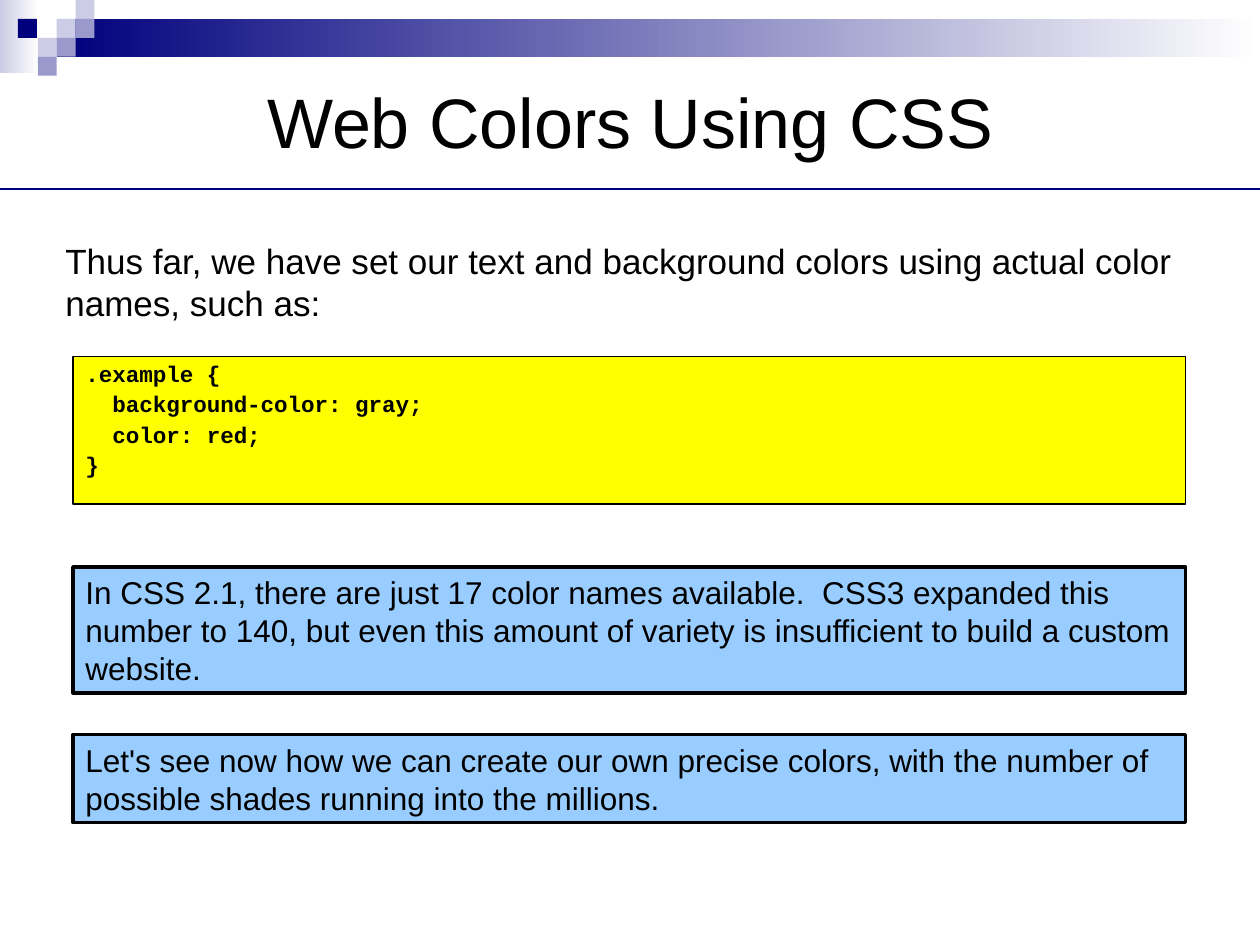
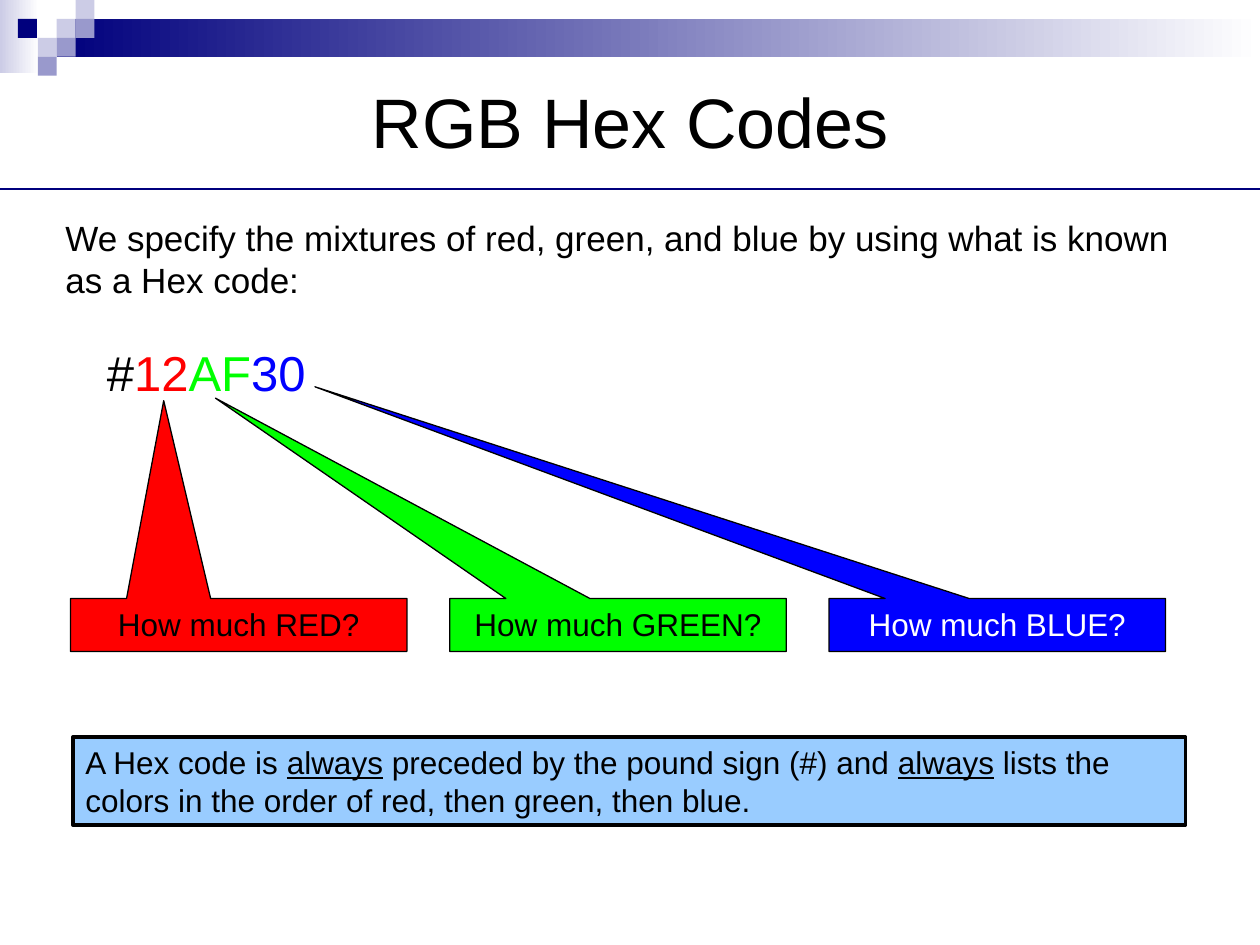
from lxml.etree import SubElement
from pptx import Presentation
from pptx.dml.color import RGBColor
from pptx.enum.shapes import MSO_CONNECTOR, MSO_SHAPE
from pptx.enum.text import MSO_ANCHOR, MSO_AUTO_SIZE, PP_ALIGN
from pptx.oxml.ns import qn
from pptx.util import Inches, Pt

BLACK = RGBColor(0x00, 0x00, 0x00)
WHITE = RGBColor(0xFF, 0xFF, 0xFF)
NAVY = RGBColor(0x00, 0x00, 0x7D)
LAVENDER = RGBColor(0x99, 0x99, 0xCC)
PALE = RGBColor(0xCC, 0xCC, 0xE6)
YELLOW = RGBColor(0xFF, 0xFF, 0x00)
SKY = RGBColor(0x99, 0xCC, 0xFF)
RED = RGBColor(0xFF, 0x00, 0x00)
GREEN = RGBColor(0x00, 0xFF, 0x00)
BLUE = RGBColor(0x00, 0x00, 0xFF)

SLIDE_WIDTH, SLIDE_HEIGHT = 10, 7.5
TILE = 0.15
RULE_TOP = SLIDE_HEIGHT / 5
PANEL_LEFT, PANEL_WIDTH = 0.58, 8.83
INTRO_LEFT, INTRO_WIDTH = 0.42, 9.08


def add_box(page, frame, fill=None, line_width=None, kind=MSO_SHAPE.RECTANGLE):
    """Add a shape at frame (left, top, width, height); with no fill, a text box."""
    place = [Inches(length) for length in frame]
    if fill is None:
        box = page.shapes.add_textbox(*place)
    else:
        box = page.shapes.add_shape(kind, *place)
        box.shadow.inherit = False
        box.fill.solid()
        box.fill.fore_color.rgb = fill
        if line_width:
            box.line.color.rgb = BLACK
            box.line.width = Pt(line_width)
        else:
            box.line.fill.background()
    box.text_frame.word_wrap = True
    box.text_frame.vertical_anchor = MSO_ANCHOR.TOP
    return box


def add_spans(para, spans, size, align=PP_ALIGN.LEFT, font="Arial", bold=False):
    """Write (text, colour, underlined) spans into a paragraph."""
    para.alignment = align
    for text, colour, underlined in spans:
        span = para.add_run()
        span.text = text
        span.font.name = font
        span.font.size = Pt(size)
        span.font.bold = bold
        span.font.color.rgb = colour
        if underlined:
            span.font.underline = True


deck = Presentation()
deck.slide_width = Inches(SLIDE_WIDTH)
deck.slide_height = Inches(SLIDE_HEIGHT)
layout = deck.slide_layouts[5]
colors_page = deck.slides.add_slide(layout)
hex_page = deck.slides.add_slide(layout)

# Header band, shared through the layout: two gradients, then tiles by column and row
header = []
for frame, colour in [
    ((0, 0, 0.31, 0.58), PALE),
    ((3 * TILE, TILE, SLIDE_WIDTH - 3 * TILE, 2 * TILE), NAVY),
]:
    band = add_box(colors_page, frame, colour)
    band.fill.gradient()
    band.fill.gradient_angle = 0
    for stop, stop_colour in zip(band.fill.gradient_stops, (colour, WHITE)):
        stop.color.rgb = stop_colour
    header.append(band)
for column, row, colour in [
    (3, 1, PALE), (4, 0, PALE), (4, 1, LAVENDER), (2, 2, PALE),
    (0.95, 1, NAVY), (3, 2, LAVENDER), (2, 3, LAVENDER),
]:
    header.append(add_box(colors_page, (column * TILE, row * TILE, TILE, TILE), colour))
for number, shape in enumerate(header, start=100):
    shape.element.nvSpPr.cNvPr.set("id", str(number))
    layout.shapes.element.append(shape.element)

# Title, rule and opening sentence of each page
for page, heading, intro, intro_top, intro_height in [
    (colors_page, "Web Colors Using CSS",
     "Thus far, we have set our text and background colors using actual color "
     "names, such as:", 1.85, 0.81),
    (hex_page, "RGB Hex Codes",
     "We specify the mixtures of red, green, and blue by using what is known "
     "as a Hex code:", 1.67, 0.75),
]:
    title = page.shapes.title
    title.left, title.top = Inches(0.5), Inches(0.42)
    title.width, title.height = Inches(SLIDE_WIDTH - 1), Inches(RULE_TOP - 0.42)
    title.text_frame.vertical_anchor = MSO_ANCHOR.MIDDLE
    add_spans(title.text_frame.paragraphs[0], [(heading, BLACK, False)], 40,
              PP_ALIGN.CENTER)

    rule = page.shapes.add_connector(
        MSO_CONNECTOR.STRAIGHT, 0, Inches(RULE_TOP),
        Inches(SLIDE_WIDTH), Inches(RULE_TOP))
    rule.line.color.rgb = NAVY
    rule.line.width = Pt(1.25)
    SubElement(rule.element.spPr, qn("a:effectLst"))

    intro_box = add_box(page, (INTRO_LEFT, intro_top, INTRO_WIDTH, intro_height))
    add_spans(intro_box.text_frame.paragraphs[0], [(intro, BLACK, False)], 20)

# CSS listing
code_box = add_box(colors_page, (PANEL_LEFT, 2.83, PANEL_WIDTH, 1.17), YELLOW, 0.75)
code_lines = [".example {", "  background-color: gray;", "  color: red;", "}"]
for index, code in enumerate(code_lines):
    frame = code_box.text_frame
    para = frame.add_paragraph() if index else frame.paragraphs[0]
    para.line_spacing = 0.9
    para.space_before = Pt(3.5)
    add_spans(para, [(code, BLACK, False)], 12.9, font="Courier New", bold=True)

# Blue note panels
for page, top, height, spans in [
    (colors_page, 4.5, 1, [
        ("In CSS 2.1, there are just 17 color names available.  CSS3 expanded this "
         "number to 140, but even this amount of variety is insufficient to build a "
         "custom website.", BLACK, False)]),
    (colors_page, 5.83, 0.7, [
        ("Let's see now how we can create our own precise colors, with the number of "
         "possible shades running into the millions.", BLACK, False)]),
    (hex_page, 5.85, 0.7, [
        ("A Hex code is ", BLACK, False),
        ("always", BLACK, True),
        (" preceded by the pound sign (#) and ", BLACK, False),
        ("always", BLACK, True),
        (" lists the colors in the order of red, then green, then blue.",
         BLACK, False)]),
]:
    note = add_box(page, (PANEL_LEFT, top, PANEL_WIDTH, height), SKY, 2)
    note.text_frame.auto_size = MSO_AUTO_SIZE.SHAPE_TO_FIT_TEXT
    para = note.text_frame.paragraphs[0]
    para.space_before = para.space_after = Pt(6)
    add_spans(para, spans, 18)

# Hex code, one colour per pair of digits
code_sample = add_box(hex_page, (0.75, 2.67, 7.25, 0.57))
code_sample.text_frame.auto_size = MSO_AUTO_SIZE.SHAPE_TO_FIT_TEXT
para = code_sample.text_frame.paragraphs[0]
para.space_before = Pt(17.5)
add_spans(para, [("#", BLACK, False), ("12", RED, False), ("AF", GREEN, False),
                 ("30", BLUE, False)], 28)

# Callouts whose tips point at the digits
CALLOUT_LEFT, CALLOUT_TOP, CALLOUT_PITCH = 0.56, 4.75, 3.01
CALLOUT_WIDTH, CALLOUT_HEIGHT = 2.67, 0.42
for column, (name, fill, ink, tip_x, tip_y) in enumerate([
    ("RED", RED, BLACK, 1.3, 3.18),
    ("GREEN", GREEN, BLACK, 1.71, 3.16),
    ("BLUE", BLUE, WHITE, 2.5, 3.07),
]):
    left = CALLOUT_LEFT + column * CALLOUT_PITCH
    callout = add_box(hex_page, (left, CALLOUT_TOP, CALLOUT_WIDTH, CALLOUT_HEIGHT),
                      fill, 0.75, MSO_SHAPE.RECTANGULAR_CALLOUT)
    callout.adjustments[0] = (tip_x - left) / CALLOUT_WIDTH - 0.5
    callout.adjustments[1] = (tip_y - CALLOUT_TOP) / CALLOUT_HEIGHT - 0.5
    add_spans(callout.text_frame.paragraphs[0],
              [(f"How much {name}?", ink, False)], 18, PP_ALIGN.CENTER)

deck.save("out.pptx")
